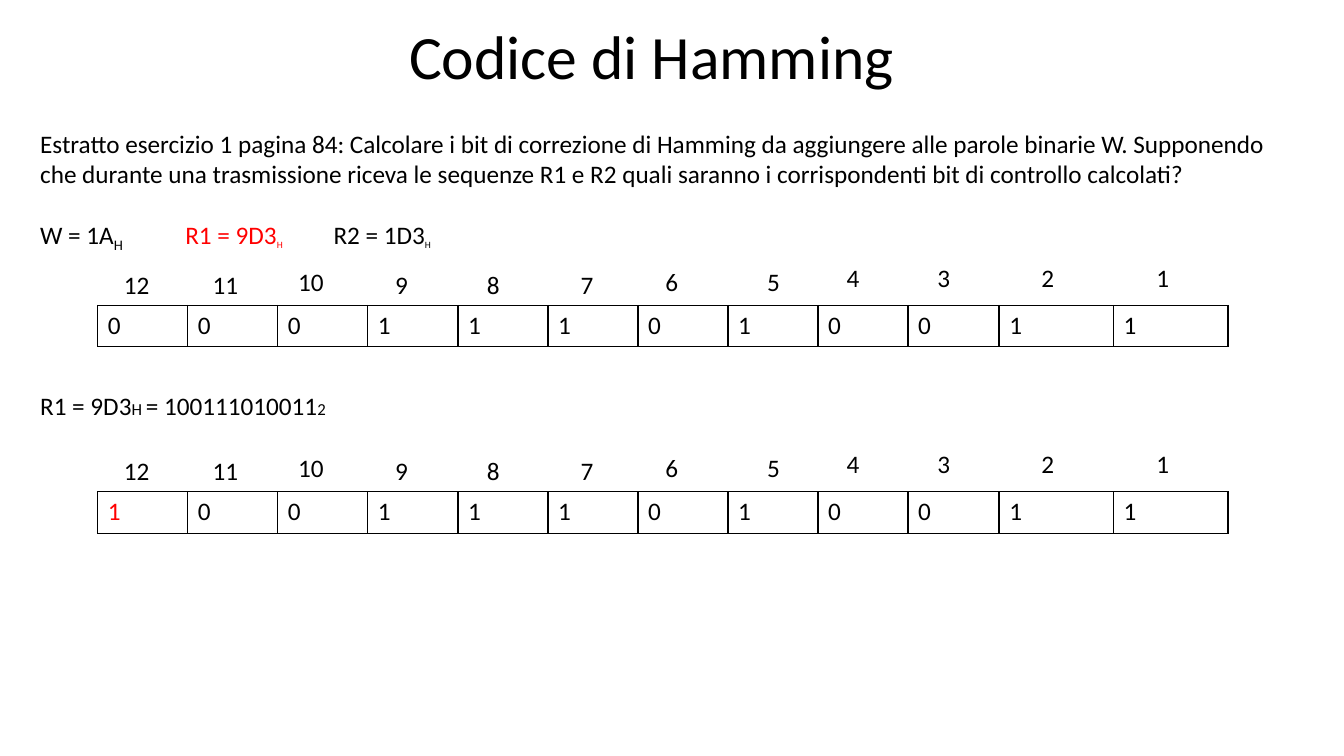
"""Build the Hamming code exercise slide."""
import pptx
import pptx.dml.color
import pptx.enum.text
import pptx.oxml.ns
import pptx.util
from lxml import etree
from pptx.util import Inches

BLACK = "000000"
RED = "FF0000"


def add_run(paragraph, text, size=18, color=BLACK, baseline=0):
    run = paragraph.add_run()
    run.text = text
    run.font.name = "Calibri"
    run.font.size = pptx.util.Pt(size)
    run.font.color.rgb = pptx.dml.color.RGBColor.from_string(color)
    if baseline:
        run._r.get_or_add_rPr().set("baseline", str(baseline * 1000))


def add_text_frame(left, top, width, height):
    box = slide.shapes.add_textbox(Inches(left), Inches(top), Inches(width), Inches(height))
    box.text_frame.word_wrap = True
    return box.text_frame


presentation = pptx.Presentation()
presentation.slide_width = Inches(13.33)
presentation.slide_height = Inches(7.5)
slide = presentation.slides.add_slide(presentation.slide_layouts[6])

title_frame = add_text_frame(3.96, 0.17, 5.4, 0.85)
title_frame.vertical_anchor = pptx.enum.text.MSO_ANCHOR.MIDDLE
title_frame.paragraphs[0].line_spacing = 0.9
add_run(title_frame.paragraphs[0], "Codice di Hamming", size=44)

exercise_frame = add_text_frame(0.3, 1.22, 12.7, 1.62)
add_run(
    exercise_frame.paragraphs[0],
    "Estratto esercizio 1 pagina 84: Calcolare i bit di correzione di Hamming da aggiungere "
    "alle parole binarie W. Supponendo che durante una trasmissione riceva le sequenze R1 e R2 "
    "quali saranno i corrispondenti bit di controllo calcolati?",
)
words = exercise_frame.add_paragraph()
words.space_before = pptx.util.Pt(22)
tab_list = etree.SubElement(words._p.get_or_add_pPr(), pptx.oxml.ns.qn("a:tabLst"))
for tab_position in (1.44, 2.91):
    etree.SubElement(tab_list, pptx.oxml.ns.qn("a:tab"), pos=str(Inches(tab_position)), algn="l")
add_run(words, "W = 1A")
add_run(words, "H", baseline=-25)
add_run(words, "\tR1 = 9D3", color=RED)
add_run(words, "H", size=12, color=RED, baseline=-25)
add_run(words, "\tR2 = 1D3")
add_run(words, "H", size=12, baseline=-25)

conversion = add_text_frame(0.3, 3.82, 3.46, 0.4).paragraphs[0]
for text, size in (("R1 = 9D3", 18), ("H ", 12), ("= 100111010011", 18), ("2", 12)):
    add_run(conversion, text, size=size)

label_lefts = [1.13, 2.01, 2.86, 3.82, 4.73, 5.66, 6.5, 7.51, 8.3, 9.2, 10.23, 11.37]
label_rises = [0.41, 0.41, 0.44, 0.41, 0.41, 0.41, 0.44, 0.44, 0.48, 0.48, 0.48, 0.48]

for table_top, bits, first_color in ((3.03, "000111010011", BLACK), (4.88, "100111010011", RED)):
    for table_left, column_width, table_bits, lead_color in (
        (0.97, 0.893, bits[:10], first_color),
        (9.91, 1.135, bits[10:], BLACK),
    ):
        table_frame = slide.shapes.add_table(
            1, len(table_bits), Inches(table_left), Inches(table_top),
            Inches(column_width * len(table_bits)), Inches(0.41),
        )
        table = table_frame.table
        table.first_row = False
        table.horz_banding = False
        for column, bit in enumerate(table_bits):
            table.columns[column].width = Inches(column_width)
            cell = table.cell(0, column)
            add_run(cell.text_frame.paragraphs[0], bit, color=BLACK if column else lead_color)
            properties = cell._tc.get_or_add_tcPr()
            for side in ("a:lnL", "a:lnR", "a:lnT", "a:lnB"):
                line = etree.SubElement(properties, pptx.oxml.ns.qn(side), w=str(pptx.util.Pt(1)))
                line_fill = etree.SubElement(line, pptx.oxml.ns.qn("a:solidFill"))
                etree.SubElement(line_fill, pptx.oxml.ns.qn("a:srgbClr"), val=BLACK)
            cell.fill.background()

    for index, (label_left, rise) in enumerate(zip(label_lefts, label_rises)):
        label_frame = add_text_frame(label_left, table_top - rise, 0.53, 0.4)
        add_run(label_frame.paragraphs[0], str(12 - index))

presentation.save("out.pptx")
